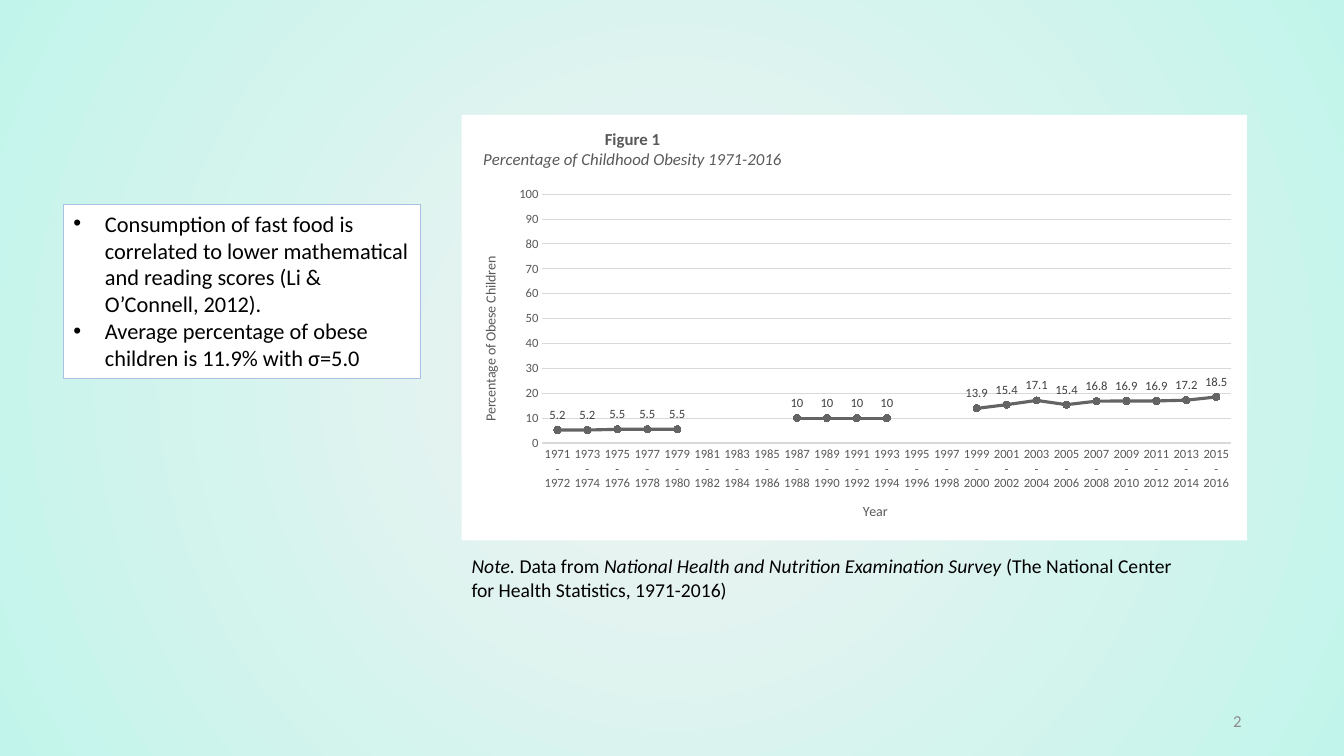
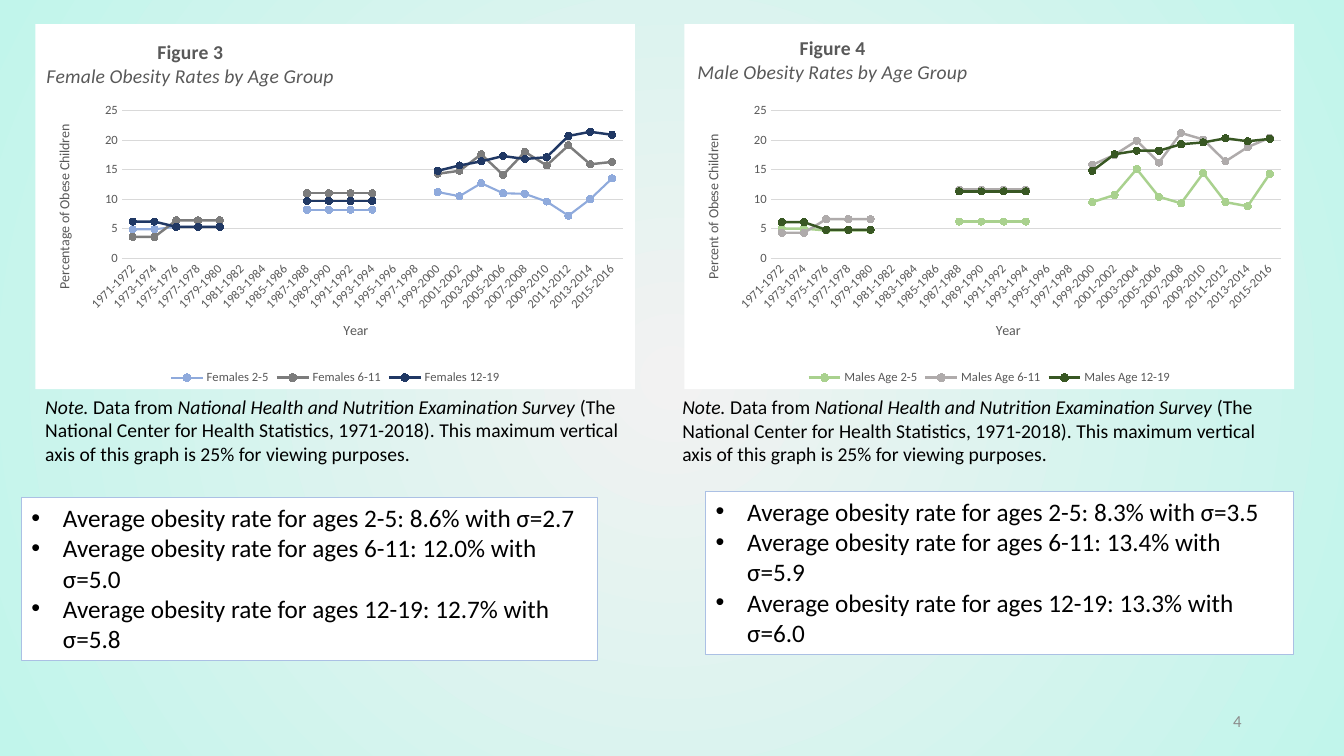
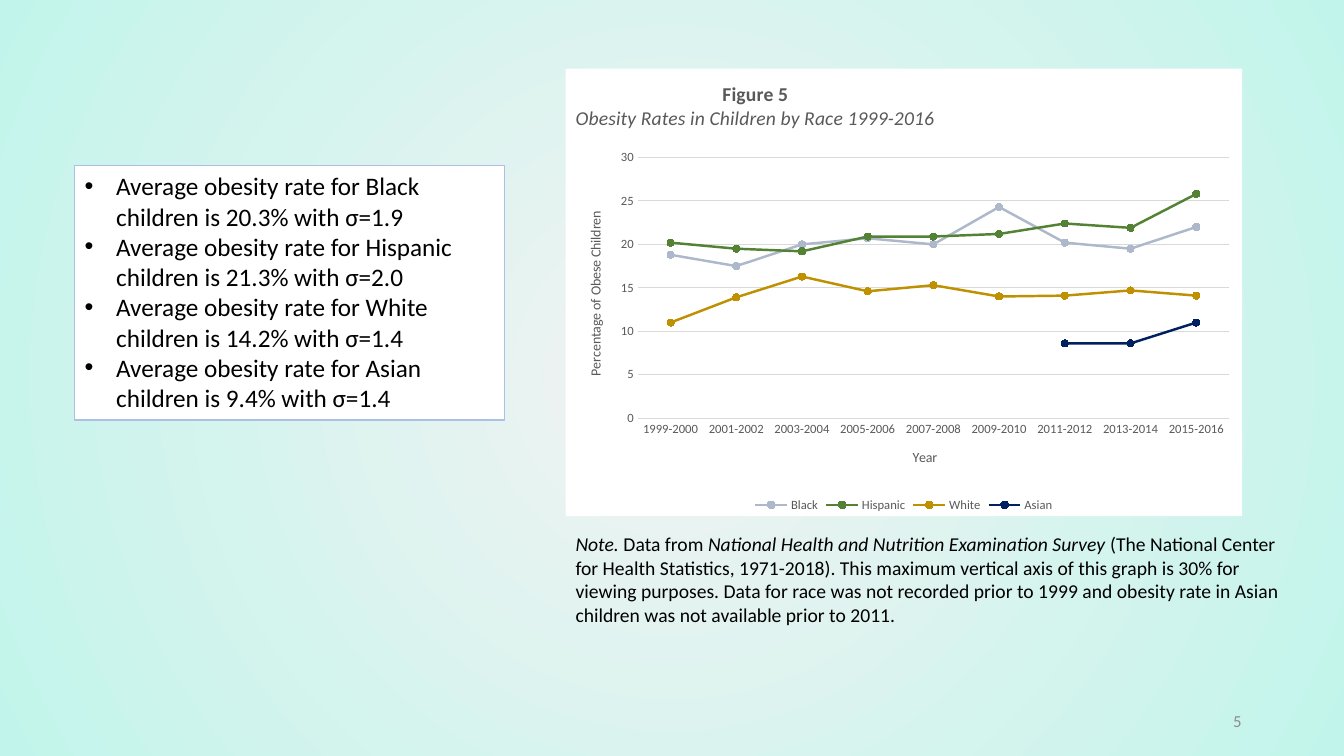
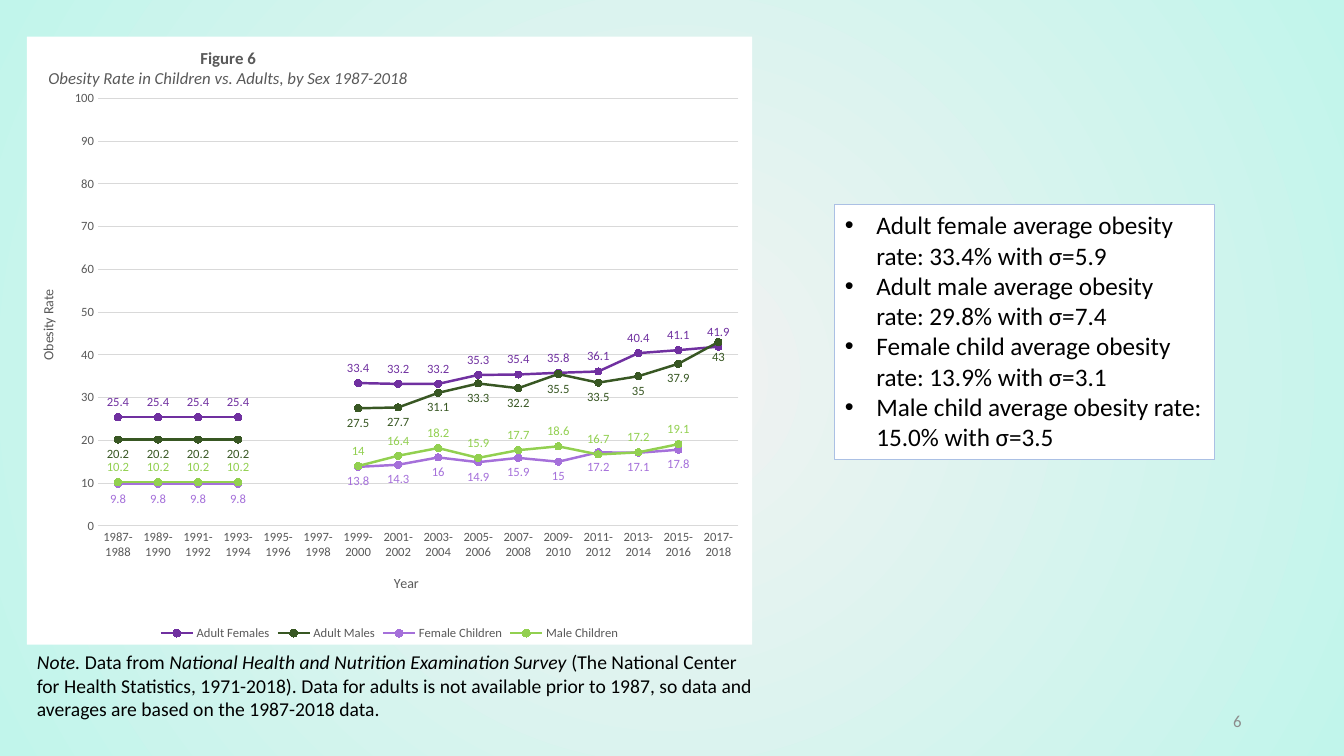
from lxml.etree import SubElement
from pptx import Presentation
from pptx.chart.data import CategoryChartData
from pptx.dml.color import RGBColor
from pptx.enum.chart import XL_CHART_TYPE, XL_LABEL_POSITION, XL_LEGEND_POSITION, XL_MARKER_STYLE, XL_TICK_MARK
from pptx.enum.text import MSO_ANCHOR, MSO_AUTO_SIZE, PP_ALIGN
from pptx.oxml.ns import qn
from pptx.util import Pt

FONT = "Calibri"
BLACK, WHITE, GREY = "000000", "FFFFFF", "595959"
GRID, BOX_LINE, PAGE_NUMBER = "D9D9D9", "ABC0E4", "8C8C8C"
CENTRE, EDGE = "F2F2F2", "C1F5EB"
ONE_LIST, TWO_LISTS = 1, 3
AUTOMATIC_ANGLE = -1000
ABOVE, BELOW = XL_LABEL_POSITION.ABOVE, XL_LABEL_POSITION.BELOW
SURVEY = "National Health and Nutrition Examination Survey"


def rgb(value):
    return RGBColor.from_string(value)


def style_font(font, size, color):
    font.name = FONT
    font.size = Pt(size)
    font.color.rgb = rgb(color)


def add_text(paragraph, text, size=14, color=BLACK, bold=False, italic=False):
    run = paragraph.add_run()
    run.text = text
    style_font(run.font, size, color)
    run.font.bold = bold
    run.font.italic = italic


def rotate(body, angle):
    body.find(qn("a:bodyPr")).set("rot", str(angle * 60000))


def years(first, last):
    """Two-year survey periods from first to last starting year."""
    return [f"{year}-{year + 1}" for year in range(first, last + 1, 2)]


def gaps(count):
    return [None] * count


def place(element, frame, left, top, width=None, height=None):
    """Fix a chart part at a slide position in points, inside the chart frame."""
    chart_left, chart_top, chart_width, chart_height = frame
    layout = element.find(qn("c:layout"))
    if layout is None:
        layout = element.makeelement(qn("c:layout"))
        element.insert(0, layout)
    manual = SubElement(layout, qn("c:manualLayout"))
    settings = {"xMode": "edge", "yMode": "edge",
                "x": (left - chart_left) / chart_width,
                "y": (top - chart_top) / chart_height}
    if width:
        SubElement(manual, qn("c:layoutTarget")).set("val", "inner")
        settings.update(w=width / chart_width, h=height / chart_height)
    for name, value in settings.items():
        SubElement(manual, qn(f"c:{name}")).set("val", str(value))


class Deck:
    def __init__(self):
        self.presentation = Presentation()
        self.presentation.slide_width = Pt(960)
        self.presentation.slide_height = Pt(540)
        self.slide = None
        self.free_lists = []
        self.set_background()

    def set_background(self):
        background = self.presentation.slide_master.background
        fill = background.fill
        fill.gradient()
        for stop, color in zip(fill.gradient_stops, (CENTRE, EDGE)):
            stop.color.rgb = rgb(color)
        linear = next(self.presentation.slide_master.element.iter(qn("a:lin")))
        gradient = linear.getparent()
        circle = linear.makeelement(qn("a:path"), {"path": "circle"})
        SubElement(circle, qn("a:fillToRect"), dict.fromkeys("ltrb", "50000"))
        gradient.replace(linear, circle)

    def add_slide(self, number, layout=ONE_LIST):
        self.slide = self.presentation.slides.add_slide(self.presentation.slide_layouts[layout])
        title, *self.free_lists = self.slide.placeholders
        title.element.getparent().remove(title.element)
        frame = self.add_box(678, 500.5, 216, 29)
        frame.vertical_anchor = MSO_ANCHOR.MIDDLE
        frame.paragraphs[0].alignment = PP_ALIGN.RIGHT
        add_text(frame.paragraphs[0], str(number), size=12, color=PAGE_NUMBER)

    def add_box(self, left, top, width, height):
        frame = self.slide.shapes.add_textbox(Pt(left), Pt(top), Pt(width), Pt(height)).text_frame
        frame.word_wrap = True
        return frame

    def add_note(self, left, top, width, height, ending):
        paragraph = self.add_box(left, top, width, height).paragraphs[0]
        add_text(paragraph, "Note. ", italic=True)
        add_text(paragraph, "Data from ")
        add_text(paragraph, SURVEY, italic=True)
        add_text(paragraph, f" (The National Center for Health Statistics, {ending}")

    def add_list(self, left, top, width, height, items, size=18):
        shape = self.free_lists.pop(0)
        shape.left, shape.top, shape.width, shape.height = map(Pt, (left, top, width, height))
        shape.fill.solid()
        shape.fill.fore_color.rgb = rgb(WHITE)
        shape.line.color.rgb = rgb(BOX_LINE)
        shape.line.width = Pt(0.75)
        frame = shape.text_frame
        frame.auto_size = MSO_AUTO_SIZE.NONE
        frame.vertical_anchor = MSO_ANCHOR.TOP
        for index, item in enumerate(items):
            paragraph = frame.add_paragraph() if index else frame.paragraphs[0]
            paragraph.space_before = Pt(0)
            properties = paragraph._p.get_or_add_pPr()
            properties.set("marL", str(Pt(22.5)))
            properties.set("indent", str(Pt(-22.5)))
            SubElement(properties, qn("a:buChar")).set("char", "•")
            add_text(paragraph, item, size=size)

    def add_chart(self, frame, plot, heading, caption, heading_at, value_title, value_at,
                  year_at, periods, series, top_value, step, title_size=14, legend=True):
        """Add a line chart; series rows are name, values, colour and optional style."""
        data = CategoryChartData()
        data.categories = periods
        for name, values, *_ in series:
            data.add_series(name, values)
        chart = self.slide.shapes.add_chart(
            XL_CHART_TYPE.LINE_MARKERS, *map(Pt, frame), data).chart
        self.fill_chart(chart)
        style_font(chart.font, 10, BLACK)
        place(chart.element.chart.plotArea, frame, *plot)

        text_frame = chart.chart_title.text_frame
        add_text(text_frame.paragraphs[0], heading, size=title_size, color=GREY, bold=True)
        add_text(text_frame.add_paragraph(), caption, size=title_size, color=GREY, italic=True)
        place(chart.chart_title._element, frame, *heading_at)

        self.style_axis(chart.category_axis, frame, "Year", year_at, 0)
        self.style_axis(chart.value_axis, frame, value_title, value_at, -90)
        chart.category_axis.format.line.color.rgb = rgb(GRID)
        chart.category_axis.format.line.width = Pt(0.75)
        rotate(chart.category_axis._element.find(qn("c:txPr")), AUTOMATIC_ANGLE)
        value_axis = chart.value_axis
        value_axis.minimum_scale, value_axis.maximum_scale = 0, top_value
        value_axis.major_unit = step
        value_axis.format.line.fill.background()
        value_axis.major_gridlines.format.line.color.rgb = rgb(GRID)
        value_axis.major_gridlines.format.line.width = Pt(0.75)

        chart.has_legend = legend
        if legend:
            chart.legend.position = XL_LEGEND_POSITION.BOTTOM
            chart.legend.include_in_layout = False
            style_font(chart.legend.font, 9, GREY)
        for line, (_, _, color, *style) in zip(chart.plots[0].series, series):
            self.style_series(line, color, **(style[0] if style else {}))

    def fill_chart(self, chart):
        area = chart.element.makeelement(qn("c:spPr"))
        solid = SubElement(area, qn("a:solidFill"))
        SubElement(solid, qn("a:srgbClr")).set("val", WHITE)
        SubElement(SubElement(area, qn("a:ln")), qn("a:noFill"))
        chart.element.chart.addnext(area)

    def style_axis(self, axis, frame, title, position, angle):
        axis.major_tick_mark = axis.minor_tick_mark = XL_TICK_MARK.NONE
        style_font(axis.tick_labels.font, 9, GREY)
        text_frame = axis.axis_title.text_frame
        add_text(text_frame.paragraphs[0], title, size=10, color=GREY)
        rotate(text_frame._txBody, angle)
        place(axis.axis_title._element, frame, *position)

    def style_series(self, line, color, marker=None, width=1.75, labels=None, label_color=None):
        line.smooth = False
        line.format.line.color.rgb = rgb(color)
        line.format.line.width = Pt(width)
        line.marker.style = XL_MARKER_STYLE.CIRCLE
        line.marker.size = 5
        line.marker.format.fill.solid()
        line.marker.format.fill.fore_color.rgb = rgb(marker or color)
        line.marker.format.line.color.rgb = rgb(marker or color)
        if labels is not None:
            line.data_labels.show_value = True
            line.data_labels.position = labels
            style_font(line.data_labels.font, 9, label_color or color)


def early(first, second, third):
    """Values up to 1998: two, three and four equal periods, with the gaps."""
    return [first] * 2 + [second] * 3 + gaps(3) + [third] * 4 + gaps(2)


def add_total_slide(deck):
    deck.add_slide(2)
    deck.add_chart(
        (329.76, 82.08, 560.88, 303.84), (387.5, 138.75, 492, 177.75),
        "Figure 1", "Percentage of Childhood Obesity 1971-2016", (343, 89),
        "Percentage of Obese Children", (342, 181.5), (614.5, 357), years(1971, 2015),
        [("Series 1", early(5.2, 5.5, 10) + [13.9, 15.4, 17.1, 15.4, 16.8, 16.9, 16.9, 17.2, 18.5],
          "646464", {"width": 2.25, "labels": ABOVE, "label_color": "404040"})],
        100, 10, title_size=12, legend=False)
    deck.add_note(329.76, 392.25, 530, 41, "1971-2016)")
    deck.add_list(45.25, 146.25, 255, 124, [
        "Consumption of fast food is correlated to lower mathematical and reading scores "
        "(Li & O’Connell, 2012).",
        "Average percentage of obese children is 11.9% with σ=5.0"], size=16)


def add_sex_slide(deck):
    deck.add_slide(4, TWO_LISTS)
    shared = {"periods": years(1971, 2015), "top_value": 25, "step": 5}
    deck.add_chart(
        (25.2, 17.28, 428.4, 260.64), (87, 79, 358, 105.5),
        "Figure 3", "Female Obesity Rates by Age Group", (31, 25.5),
        "Percentage of Obese Children", (37.5, 87), (243.5, 227.5), series=[
            ("Females 2-5", early(4.9, 5.3, 8.2) + [11.2, 10.5, 12.7, 11, 10.9, 9.6, 7.2, 10, 13.5],
             "8FAADC", {"marker": "8FAADC", "width": 1.5}),
            ("Females 6-11", early(3.6, 6.4, 11) + [14.3, 14.8, 17.6, 14.1, 18, 15.7, 19.1, 15.9, 16.3],
             "7C7C7C", {"marker": "767171"}),
            ("Females 12-19",
             early(6.2, 5.3, 9.7) + [14.8, 15.7, 16.4, 17.3, 16.8, 17.1, 20.7, 21.4, 20.9], "203864"),
        ], **shared)
    deck.add_chart(
        (488.88, 17.28, 435.6, 260.64), (550.5, 79, 364.5, 105.5),
        "Figure 4", "Male Obesity Rates by Age Group", (496, 22.5),
        "Percent of Obese Children", (501, 94), (709.5, 227.5), series=[
            ("Males Age 2-5", early(5, 4.7, 6.2) + [9.5, 10.7, 15.1, 10.4, 9.3, 14.4, 9.5, 8.8, 14.3],
             "A9D18E"),
            ("Males Age 6-11",
             early(4.3, 6.6, 11.6) + [15.8, 17.5, 19.9, 16.2, 21.2, 20.1, 16.4, 18.8, 20.4],
             "AFABAB", {"marker": "A6A6A6"}),
            ("Males Age 12-19",
             early(6.1, 4.8, 11.3) + [14.8, 17.6, 18.2, 18.2, 19.3, 19.6, 20.3, 19.8, 20.2], "385723"),
        ], **shared)
    ending = "1971-2018). This maximum vertical axis of this graph is 25% for viewing purposes."
    deck.add_note(25.2, 278.25, 434, 58, ending)
    deck.add_note(480.25, 278.75, 444, 58, ending)
    ages = ("2-5", "6-11", "12-19")
    for box, rates in (
            ((15.25, 355.25, 411.75, 116.5), ("8.6% with σ=2.7", "12.0% with σ=5.0", "12.7% with σ=5.8")),
            ((504, 350.75, 420.25, 116.5), ("8.3% with σ=3.5", "13.4% with σ=5.9", "13.3% with σ=6.0"))):
        deck.add_list(*box, [f"Average obesity rate for ages {age}: {rate}"
                             for age, rate in zip(ages, rates)])


def add_race_slide(deck):
    deck.add_slide(5)
    deck.add_chart(
        (404, 49, 483.25, 319.75), (455.5, 112.5, 422.5, 186.25),
        "Figure 5", "Obesity Rates in Children by Race 1999-2016", (409, 55.5),
        "Percentage of Obese Children", (417, 149), (650, 318.5), years(1999, 2015), [
            ("Black", [18.8, 17.5, 20, 20.7, 20, 24.3, 20.2, 19.5, 22], "ADB9CA"),
            ("Hispanic", [20.2, 19.5, 19.2, 20.9, 20.9, 21.2, 22.4, 21.9, 25.8], "548235"),
            ("White", [11, 13.9, 16.3, 14.6, 15.3, 14, 14.1, 14.7, 14.1], "BF9000"),
            ("Asian", gaps(6) + [8.6, 8.6, 11], "002060"),
        ], 30, 5)
    deck.add_note(404, 376.5, 530, 75,
                  "1971-2018). This maximum vertical axis of this graph is 30% for viewing purposes. "
                  "Data for race was not recorded prior to 1999 and obesity rate in Asian children "
                  "was not available prior to 2011.")
    deck.add_list(53.25, 118.25, 307, 181.75, [
        f"Average obesity rate for {race} children is {rate}" for race, rate in (
            ("Black", "20.3% with σ=1.9"), ("Hispanic", "21.3% with σ=2.0"),
            ("White", "14.2% with σ=1.4"), ("Asian", "9.4% with σ=1.4"))])


def add_adult_slide(deck):
    deck.add_slide(6)
    deck.add_chart(
        (19.25, 26.25, 518, 434.25), (70, 70.25, 457.5, 305.5),
        "Figure 6", "Obesity Rate in Children vs. Adults, by Sex 1987-2018", (32.5, 31),
        "Obesity Rate", (26, 205), (279.5, 408.5), years(1987, 2017), [
            (name, [start] * 4 + gaps(2) + values, color, {"labels": side})
            for name, start, values, color, side in (
                ("Adult Females", 25.4, [33.4, 33.2, 33.2, 35.3, 35.4, 35.8, 36.1, 40.4, 41.1, 41.9],
                 "7030A0", ABOVE),
                ("Adult Males", 20.2, [27.5, 27.7, 31.1, 33.3, 32.2, 35.5, 33.5, 35, 37.9, 43],
                 "385723", BELOW),
                ("Female Children", 9.8, [13.8, 14.3, 16, 14.9, 15.9, 15, 17.2, 17.1, 17.8, None],
                 "A570DA", BELOW),
                ("Male Children", 10.2, [14, 16.4, 18.2, 15.9, 17.7, 18.6, 16.7, 17.2, 19.1, None],
                 "92D050", ABOVE))
        ], 100, 10, title_size=12)
    deck.add_list(596.25, 146.25, 271.5, 181.75, [
        "Adult female average obesity rate: 33.4% with σ=5.9",
        "Adult male average obesity rate: 29.8% with σ=7.4",
        "Female child average obesity rate: 13.9% with σ=3.1",
        "Male child average obesity rate: 15.0% with σ=3.5"])
    deck.add_note(19.25, 461, 530, 58,
                  "1971-2018). Data for adults is not available prior to 1987, so data and averages "
                  "are based on the 1987-2018 data.")


def main():
    deck = Deck()
    for add_content in (add_total_slide, add_sex_slide, add_race_slide, add_adult_slide):
        add_content(deck)
    deck.presentation.save("out.pptx")


if __name__ == "__main__":
    main()
